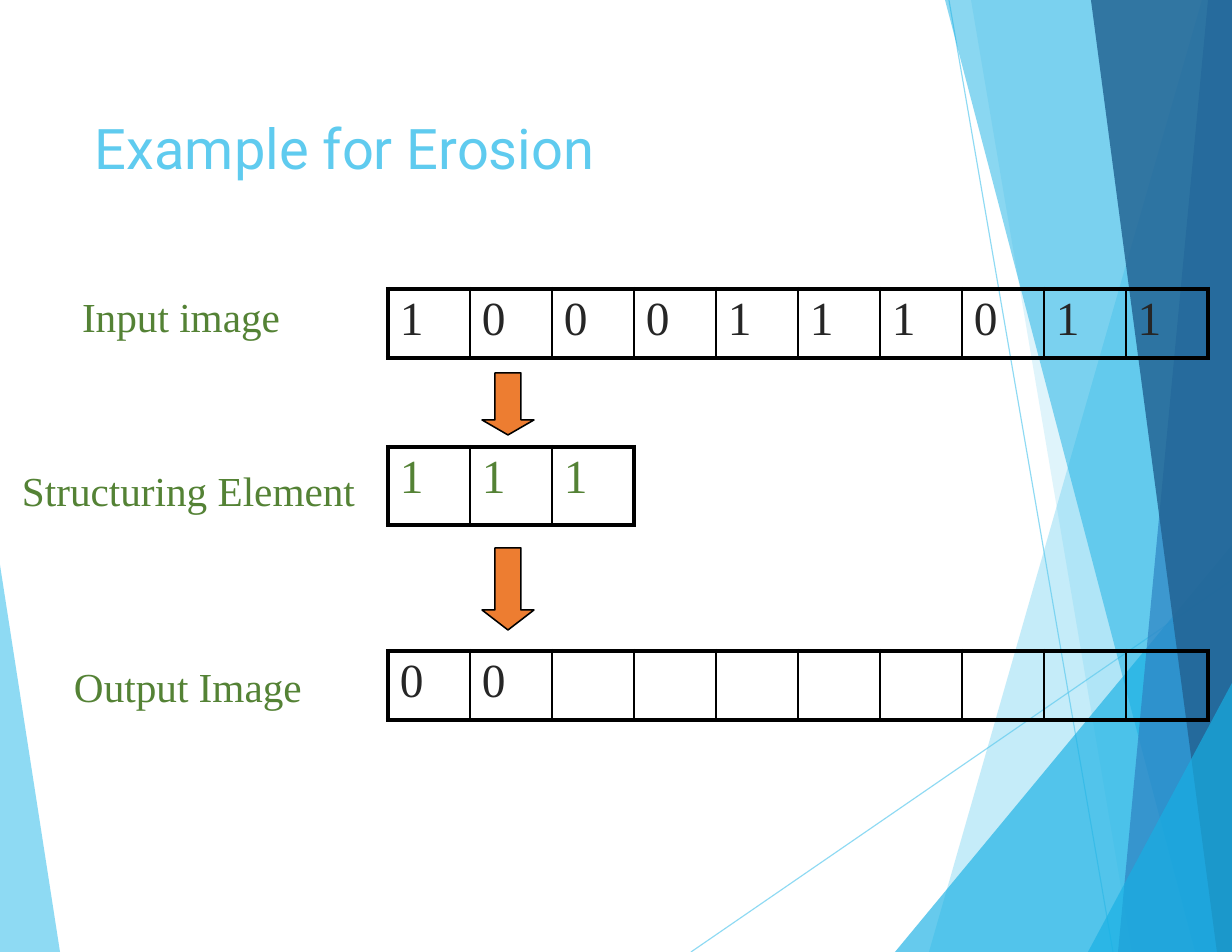
"""Build the slide that explains erosion on a row of binary pixels."""
from dataclasses import dataclass

import pptx
import pptx.dml.color
import pptx.enum.shapes
import pptx.enum.text
import pptx.oxml
import pptx.util
from lxml import etree
from pptx.oxml.ns import qn

COLORS = {
    "sky": "5FCBEF", "cyan": "17B0E4", "blue": "2E83C3", "navy": "226292",
    "green": "548235", "ink": "262626", "orange": "ED7D31", "black": "000000",
}
SLIDE_W, SLIDE_H = 1232, 952
CELL_W, GRID_LEFT = 82, 388
THICK, THIN = 3, 1.5
SERIF = "Times New Roman"


@dataclass
class Facet:
    points: list
    color: str
    alpha: int


@dataclass
class Ray:
    start: tuple
    end: tuple


@dataclass
class Label:
    text: str
    left: int
    top: int
    width: int


@dataclass
class PixelRow:
    values: str
    count: int
    top: int
    height: int
    color: str


@dataclass
class Arrow:
    top: int
    height: int
    head: int


RAYS = [Ray((691, 952), (1232, 580)), Ray((949, 0), (1113, 952))]
FACETS = [
    Facet([(0, 565), (60, 952), (0, 952)], "sky", 70),
    Facet([(1202, 0), (929, 952), (1232, 952), (1232, 0)], "sky", 36),
    Facet([(971, 0), (1132, 952), (1232, 952), (1232, 0)], "sky", 20),
    Facet([(895, 952), (1232, 545), (1232, 952)], "cyan", 66),
    Facet([(945, 0), (1195, 952), (1232, 952), (1232, 0)], "cyan", 50),
    Facet([(1208, 0), (1118, 952), (1232, 952), (1232, 0)], "blue", 70),
    Facet([(1091, 0), (1217, 952), (1232, 952), (1232, 0)], "navy", 82),
    Facet([(1088, 952), (1232, 683), (1232, 952)], "cyan", 66),
]
LABELS = [
    Label("Input image", 82, 290, 220),
    Label("Structuring Element", 22, 464, 345),
    Label("Output Image", 74, 660, 240),
]
PIXEL_ROWS = [
    PixelRow("1000111011", 10, 289, 69, "ink"),
    PixelRow("111", 3, 447, 78, "green"),
    PixelRow("00", 10, 651, 69, "ink"),
]
ARROWS = [Arrow(373, 62, 15), Arrow(548, 82, 20)]


def px(n: float) -> int:
    return round(n * 914400 / 112)


def rgb(name: str) -> pptx.dml.color.RGBColor:
    return pptx.dml.color.RGBColor.from_string(COLORS[name])


def set_alpha(sp, percent: int) -> None:
    for clr in sp._element.spPr.iter(qn("a:srgbClr")):
        etree.SubElement(clr, qn("a:alpha")).set("val", str(percent * 1000))


def set_text(tf, text: str, color: str, font: dict, before: float, frame: dict) -> None:
    for key, value in frame.items():
        setattr(tf, key, value)
    p = tf.paragraphs[0]
    p.alignment = pptx.enum.text.PP_ALIGN.LEFT
    p.space_before = pptx.util.Pt(before)
    r = p.add_run()
    r.text = text
    for key, value in font.items():
        setattr(r.font, key, value)
    r.font.color.rgb = rgb(color)


def text_frame_format(top: int) -> dict:
    return {
        "margin_left": 0, "margin_right": 0, "margin_bottom": 0,
        "margin_top": px(top), "word_wrap": True,
        "vertical_anchor": pptx.enum.text.MSO_ANCHOR.TOP,
    }


def add_title(s, text: str) -> None:
    sp = s.shapes.title
    box = {"left": px(95), "top": px(112), "width": px(577), "height": px(71)}
    for key, value in box.items():
        setattr(sp, key, value)
    font = {"name": "Roboto", "size": pptx.util.Pt(36)}
    set_text(sp.text_frame, text, "sky", font, 1.4, text_frame_format(2))


def add_ray(s, ray: Ray) -> None:
    kind = pptx.enum.shapes.MSO_CONNECTOR.STRAIGHT
    cx = s.shapes.add_connector(kind, *map(px, ray.start + ray.end))
    cx.line.color.rgb = rgb("sky")
    cx.line.width = pptx.util.Pt(0.75)
    set_alpha(cx, 70)
    etree.SubElement(cx._element.spPr, qn("a:effectLst"))


def add_facet(s, facet: Facet) -> None:
    points = [(px(x), px(y)) for x, y in facet.points]
    fb = s.shapes.build_freeform(*points[0])
    fb.add_line_segments(points[1:], close=True)
    sp = fb.convert_to_shape()
    sp.shadow.inherit = False
    sp.fill.solid()
    sp.fill.fore_color.rgb = rgb(facet.color)
    sp.line.fill.background()
    set_alpha(sp, facet.alpha)


def add_label(s, label: Label) -> None:
    tb = s.shapes.add_textbox(px(label.left), px(label.top), px(label.width), px(53))
    font = {"name": SERIF, "size": pptx.util.Pt(26.5)}
    set_text(tb.text_frame, label.text, "green", font, 0.9, text_frame_format(1))


def add_borders(cell, widths: dict) -> None:
    tc_pr = cell._tc.get_or_add_tcPr()
    for side, width in widths.items():
        ln = etree.SubElement(tc_pr, qn(f"a:ln{side}"), w=str(pptx.util.Pt(width)))
        fill = etree.SubElement(ln, qn("a:solidFill"))
        etree.SubElement(fill, qn("a:srgbClr"), val=COLORS["black"])


def add_pixel_row(s, row: PixelRow) -> None:
    frame = s.shapes.add_table(1, row.count, px(GRID_LEFT), px(row.top),
                               px(CELL_W * row.count), px(row.height))
    table = frame.table
    table.first_row = table.horz_banding = False
    font = {"name": SERIF, "size": pptx.util.Pt(30.5)}
    margins = {"margin_left": px(12), "margin_top": px(4),
               "margin_right": 0, "margin_bottom": 0}
    for i, cell in enumerate(table.iter_cells()):
        table.columns[i].width = px(CELL_W)
        for key, value in margins.items():
            setattr(cell, key, value)
        add_borders(cell, {"L": THICK if i == 0 else THIN,
                           "R": THICK if i == row.count - 1 else THIN,
                           "T": THICK, "B": THICK})
        cell.fill.background()
        if i < len(row.values):
            set_text(cell.text_frame, row.values[i], row.color, font, 3.1, {})


def add_arrow(s, arrow: Arrow) -> None:
    width = 52
    kind = pptx.enum.shapes.MSO_SHAPE.DOWN_ARROW
    sp = s.shapes.add_shape(kind, px(482), px(arrow.top), px(width), px(arrow.height))
    sp.adjustments[0] = 0.5
    sp.adjustments[1] = arrow.head / width
    sp.shadow.inherit = False
    sp.fill.solid()
    sp.fill.fore_color.rgb = rgb("orange")
    sp.line.color.rgb = rgb("black")
    sp.line.width = pptx.util.Pt(1)


def main() -> None:
    prs = pptx.Presentation()
    prs.slide_width, prs.slide_height = px(SLIDE_W), px(SLIDE_H)
    s = prs.slides.add_slide(prs.slide_layouts[5])
    add_title(s, "Example for Erosion")
    groups = [(add_facet, FACETS[:1]), (add_ray, RAYS), (add_facet, FACETS[1:]),
              (add_label, LABELS), (add_pixel_row, PIXEL_ROWS), (add_arrow, ARROWS)]
    for draw, items in groups:
        for item in items:
            draw(s, item)
    prs.save("out.pptx")


if __name__ == "__main__":
    main()
